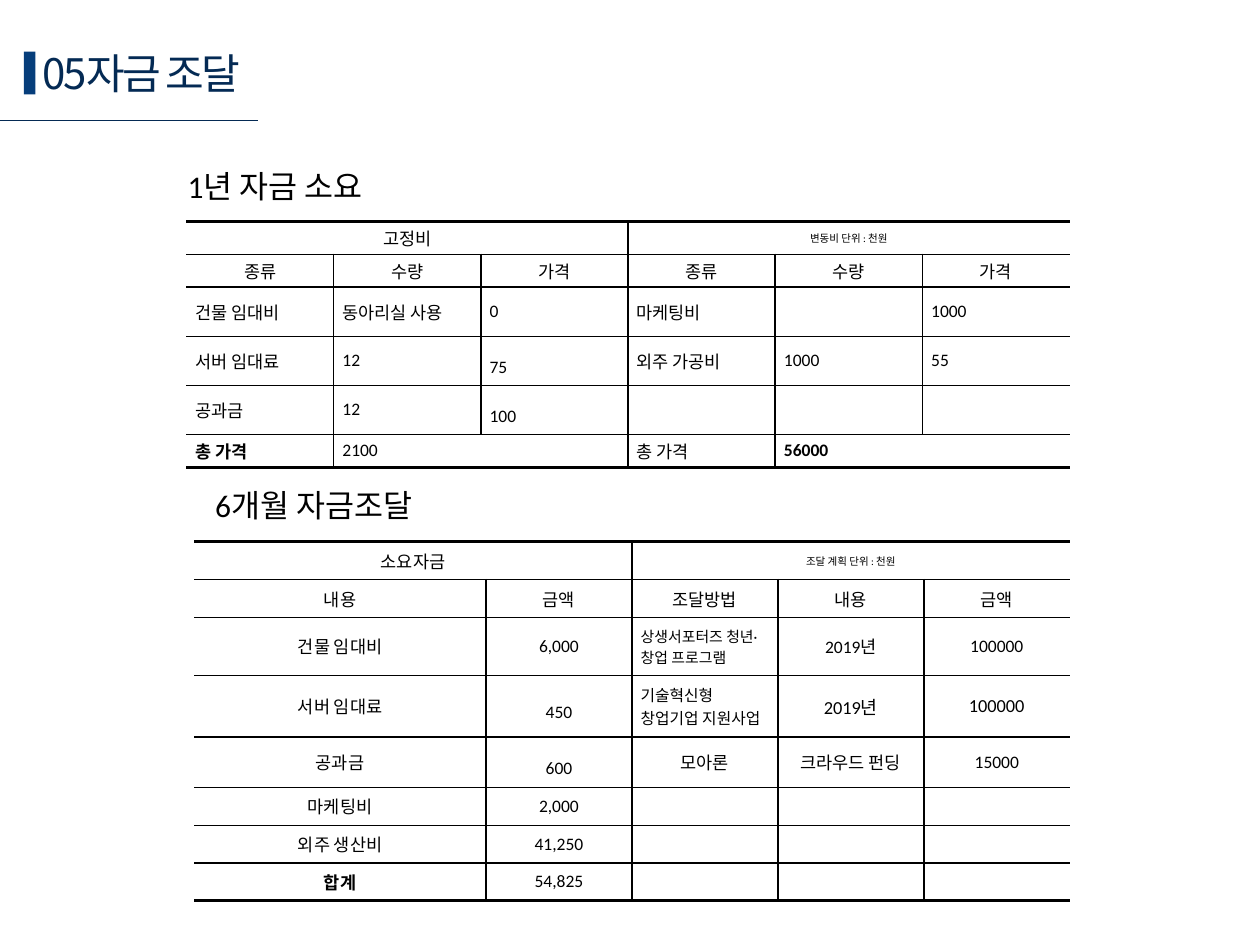
from dataclasses import dataclass

from lxml.etree import SubElement
from pptx import Presentation
from pptx.dml.color import RGBColor
from pptx.enum.shapes import MSO_CONNECTOR as Connector, MSO_SHAPE as Shape
from pptx.enum.text import MSO_ANCHOR as Anchor, PP_ALIGN as Align
from pptx.oxml.ns import qn
from pptx.util import Inches, Pt


@dataclass(frozen=True)
class Theme:
    navy: str = "042A54"
    accent: str = "063E7B"
    ink: str = "000000"
    paper: str = "FFFFFF"
    latin: str = "Calibri"
    korean: str = "Noto Sans CJK KR"
    title: float = 24
    heading: float = 18
    body: float = 10
    unit: float = 6
    rule: float = 1
    frame: float = 2


THEME = Theme()
UNIT = {"size": THEME.unit}
TOTAL = {"bold": True}
TALL = {"spacing": 1.6}

COSTS = [
    ["고정비", "", "", "변동비 단위 : 천원", "", ""],
    ["종류", "수량", "가격", "종류", "수량", "가격"],
    ["건물 임대비", "동아리실 사용", "0", "마케팅비", "", "1000"],
    ["서버 임대료", "12", "75", "외주 가공비", "1000", "55"],
    ["공과금", "12", "100", "", "", ""],
    ["총 가격", "2100", "", "총 가격", "56000", ""],
]
COST_SPANS = {(0, 0): 3, (0, 3): 3, (5, 1): 2, (5, 4): 2}
COST_FORMATS = {
    (0, 3): UNIT,
    (3, 2): TALL | {"align": Align.JUSTIFY},
    (4, 2): TALL | {"align": Align.JUSTIFY},
    (5, 0): TOTAL,
    (5, 4): TOTAL,
}

FUNDING = [
    ["소요자금", "", "조달 계획 단위 : 천원", "", ""],
    ["내용", "금액", "조달방법", "내용", "금액"],
    ["건물 임대비", "6,000", "상생서포터즈 청년·창업 프로그램", "2019년", "100000"],
    ["서버 임대료", "450", "기술혁신형 창업기업 지원사업", "2019년", "100000"],
    ["공과금", "600", "모아론", "크라우드 펀딩", "15000"],
    ["마케팅비", "2,000", "", "", ""],
    ["외주 생산비", "41,250", "", "", ""],
    ["합계", "54,825", "", "", ""],
]
FUNDING_SPANS = {(0, 0): 2, (0, 2): 3}
FUNDING_FORMATS = {
    (0, 2): UNIT,
    (2, 2): {"size": 8.5, "align": Align.LEFT},
    (3, 1): TALL,
    (3, 2): {"size": 9, "align": Align.LEFT},
    (3, 3): {"size": 10.5},
    (3, 4): {"size": 10.5},
    (4, 1): TALL,
    (7, 0): TOTAL,
}


def write(frame, text, size=THEME.body, color=THEME.ink, latin=THEME.latin,
          align=Align.LEFT, bold=False, spacing=None, tracking=None):
    paragraph = frame.paragraphs[0]
    paragraph.alignment = align
    if spacing:
        paragraph.line_spacing = spacing
    if not text:
        # An empty cell keeps its row low only if its end mark is small too.
        SubElement(paragraph._p, qn("a:endParaRPr"), sz=str(int(size * 100)))
        return
    run = paragraph.add_run()
    run.text = text
    font = run.font
    font.size, font.bold, font.name = Pt(size), bold, latin
    font.color.rgb = RGBColor.from_string(color)
    SubElement(font._element, qn("a:ea"), typeface=THEME.korean)
    if tracking:
        font._element.set("spc", str(int(tracking * 100)))


def add_title(slide, text):
    title = slide.shapes.title
    title.left, title.top = Inches(0.24), Inches(0.33)
    title.width, title.height = Inches(2.05), Inches(0.5)
    title.text_frame.word_wrap = False
    title.text_frame.vertical_anchor = Anchor.MIDDLE
    write(title.text_frame, text, size=THEME.title, color=THEME.navy,
          latin=THEME.korean, tracking=-1.5)

    marker = slide.shapes.add_shape(
        Shape.RECTANGLE, Inches(0.19), Inches(0.41), Inches(0.09), Inches(0.34))
    marker.shadow.inherit = False
    marker.fill.solid()
    marker.fill.fore_color.rgb = RGBColor.from_string(THEME.accent)
    marker.line.fill.background()

    underline = slide.shapes.add_connector(
        Connector.STRAIGHT, 0, Inches(0.96), Inches(2.05), Inches(0.96))
    underline.line.width = Pt(0.5)
    underline.line.color.rgb = RGBColor.from_string(THEME.navy)
    SubElement(underline._element.spPr, qn("a:effectLst"))


def add_heading(slide, text, left, top, width):
    heading = slide.shapes.add_textbox(
        Inches(left), Inches(top), Inches(width), Inches(0.4))
    heading.text_frame.word_wrap = False
    write(heading.text_frame, text, size=THEME.heading)


def set_borders(cell, **widths):
    """Rule the sides L, R, T and B in points; a width of 0 leaves a side open."""
    properties = cell._tc.get_or_add_tcPr()
    for side, width in widths.items():
        edge = SubElement(properties, qn(f"a:ln{side}"), w=str(Pt(width)))
        if width:
            fill = SubElement(edge, qn("a:solidFill"))
            SubElement(fill, qn("a:srgbClr"), val=THEME.ink)
        else:
            SubElement(edge, qn("a:noFill"))


def add_ledger(slide, rows, spans, formats, left, top, width, shares, heights,
               body_align):
    """Add a table open at both sides, with heavy rules above and below."""
    table = slide.shapes.add_table(
        len(rows), len(shares), Inches(left), Inches(top),
        Inches(width), Inches(sum(heights))).table
    table.first_row = table.horz_banding = False
    for column, share in zip(table.columns, shares):
        column.width = Inches(width * share / sum(shares))
    for row, height in zip(table.rows, heights):
        row.height = Inches(height)
    for (r, c), span in spans.items():
        table.cell(r, c).merge(table.cell(r, c + span - 1))

    for r, texts in enumerate(rows):
        for c, text in enumerate(texts):
            cell = table.cell(r, c)
            end = c + spans.get((r, c), 1)
            covered = cell.is_spanned
            set_borders(
                cell,
                L=THEME.rule if c and not covered else 0,
                R=THEME.rule if end < len(shares) and not covered else 0,
                T=THEME.rule if r else THEME.frame,
                B=THEME.rule if r < len(rows) - 1 else THEME.frame)
            cell.fill.solid()
            cell.fill.fore_color.rgb = RGBColor.from_string(THEME.paper)
            cell.vertical_anchor = Anchor.MIDDLE
            cell.margin_left = cell.margin_right = Inches(0.07)
            cell.margin_top = cell.margin_bottom = Inches(0.02)
            align = Align.CENTER if r < 2 else body_align
            write(cell.text_frame, text,
                  **({"align": align} | formats.get((r, c), {})))


def main():
    deck = Presentation()
    deck.slide_width, deck.slide_height = Inches(10), Inches(7.5)
    slide = deck.slides.add_slide(deck.slide_layouts[5])
    add_title(slide, "05자금 조달")

    add_ledger(slide, COSTS, COST_SPANS, COST_FORMATS, 1.48, 1.76, 7.01,
               shares=[1] * 6, heights=[0.26] * 2 + [0.39] * 3 + [0.26],
               body_align=Align.LEFT)
    add_ledger(slide, FUNDING, FUNDING_SPANS, FUNDING_FORMATS, 1.54, 4.3, 6.95,
               shares=[2, 1, 1, 1, 1],
               heights=[0.3] * 2 + [0.46, 0.49, 0.4] + [0.3] * 3,
               body_align=Align.CENTER)

    add_heading(slide, "1년 자금 소요", 1.39, 1.28, 1.71)
    add_heading(slide, "6개월 자금조달", 1.61, 3.81, 1.9)
    deck.save("out.pptx")


if __name__ == "__main__":
    main()
